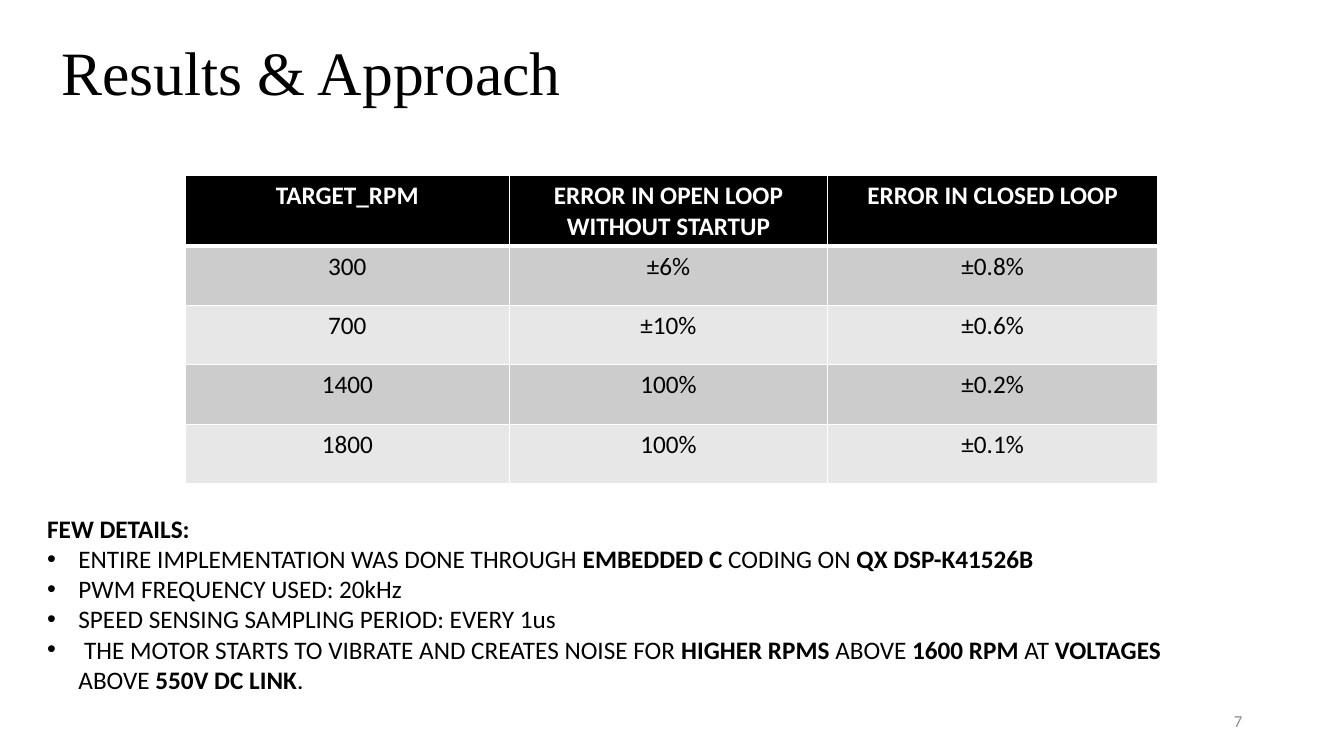
from dataclasses import dataclass
from typing import Optional

from lxml import etree
from pptx import Presentation
from pptx import util as u
from pptx.dml import color
from pptx.enum import text
from pptx.oxml import ns


@dataclass(frozen=True)
class Theme:
    heading_font: str = "Times New Roman"
    body_font: str = "Calibri"
    black: str = "000000"
    white: str = "FFFFFF"
    grey: str = "8C8C8C"
    bands: tuple[str, str] = ("CCCCCC", "E7E7E7")
    title_size: int = 44
    body_size: int = 18
    number_size: int = 12


@dataclass(frozen=True)
class Run:
    words: str
    bold: bool = False


@dataclass(frozen=True)
class Line:
    runs: tuple[Run, ...]
    bullet: bool = False


@dataclass(frozen=True)
class Box:
    left: float
    top: float
    width: float
    height: float

    def inches(self) -> list[u.Length]:
        return [u.Inches(n) for n in (self.left, self.top, self.width, self.height)]


THEME = Theme()
INDENT = u.Inches(0.31)
ROW_HEIGHT = 0.59
COLUMN_WIDTHS = (3.21, 3.16, 3.27)
RESULTS = (
    ("TARGET_RPM", "ERROR IN OPEN LOOP\nWITHOUT STARTUP", "ERROR IN CLOSED LOOP"),
    ("300", "±6%", "±0.8%"),
    ("700", "±10%", "±0.6%"),
    ("1400", "100%", "±0.2%"),
    ("1800", "100%", "±0.1%"),
)


def plain(words: str, bold: bool = False) -> list[Line]:
    return [Line((Run(words_line, bold),)) for words_line in words.split("\n")]


def bullet(*runs: Run) -> Line:
    return Line(runs, bullet=True)


DETAILS = [
    *plain("FEW DETAILS:", bold=True),
    bullet(
        Run("ENTIRE IMPLEMENTATION WAS DONE THROUGH "),
        Run("EMBEDDED C ", True),
        Run("CODING ON "),
        Run("QX DSP-K41526B", True),
    ),
    bullet(Run("PWM FREQUENCY USED: 20kHz")),
    bullet(Run("SPEED SENSING SAMPLING PERIOD: EVERY 1us")),
    bullet(
        Run(" THE MOTOR STARTS TO VIBRATE AND CREATES NOISE FOR "),
        Run("HIGHER RPMS ", True),
        Run("ABOVE "),
        Run("1600 RPM ", True),
        Run("AT "),
        Run("VOLTAGES", True),
        Run(" ABOVE "),
        Run("550V DC LINK", True),
        Run("."),
    ),
]


def write(
    frame,
    lines: list[Line],
    *,
    size: int = THEME.body_size,
    font: str = THEME.body_font,
    ink: str = THEME.black,
    align: text.PP_ALIGN = text.PP_ALIGN.LEFT,
    spacing: Optional[float] = None,
) -> None:
    for index, line in enumerate(lines):
        paragraph = frame.add_paragraph() if index else frame.paragraphs[0]
        paragraph.alignment = align
        if spacing:
            paragraph.line_spacing = spacing
        if line.bullet:
            properties = paragraph._p.get_or_add_pPr()
            properties.set("marL", str(INDENT))
            properties.set("indent", str(-INDENT))
            etree.SubElement(properties, ns.qn("a:buFont"), typeface="Arial")
            etree.SubElement(properties, ns.qn("a:buChar"), char="•")
        for part in line.runs:
            run = paragraph.add_run()
            run.text = part.words
            run.font.name = font
            run.font.size = u.Pt(size)
            run.font.bold = part.bold
            run.font.color.rgb = color.RGBColor.from_string(ink)


def add_frame(slide, box: Box, anchor: text.MSO_ANCHOR = text.MSO_ANCHOR.TOP):
    frame = slide.shapes.add_textbox(*box.inches()).text_frame
    frame.word_wrap = True
    frame.vertical_anchor = anchor
    return frame


def add_borders(cell, bottom: float) -> None:
    properties = cell._tc.get_or_add_tcPr()
    for side, points in (("L", 1), ("R", 1), ("T", 1), ("B", bottom)):
        edge = etree.SubElement(properties, ns.qn(f"a:ln{side}"), w=str(u.Pt(points)))
        fill = etree.SubElement(edge, ns.qn("a:solidFill"))
        etree.SubElement(fill, ns.qn("a:srgbClr"), val=THEME.white)


def add_results(slide, box: Box) -> None:
    results = slide.shapes.add_table(
        len(RESULTS), len(COLUMN_WIDTHS), *box.inches()
    ).table
    for column, width in zip(results.columns, COLUMN_WIDTHS):
        column.width = u.Inches(width)
    for row_index, values in enumerate(RESULTS):
        results.rows[row_index].height = u.Inches(ROW_HEIGHT)
        header = row_index == 0
        shade = THEME.black if header else THEME.bands[(row_index - 1) % 2]
        for column_index, value in enumerate(values):
            cell = results.cell(row_index, column_index)
            add_borders(cell, bottom=3 if header else 1)
            cell.fill.solid()
            cell.fill.fore_color.rgb = color.RGBColor.from_string(shade)
            write(
                cell.text_frame,
                plain(value, bold=header),
                ink=THEME.white if header else THEME.black,
                align=text.PP_ALIGN.CENTER,
            )


def main() -> None:
    deck = Presentation()
    deck.slide_width, deck.slide_height = u.Inches(13.33), u.Inches(7.5)
    slide = deck.slides.add_slide(deck.slide_layouts[6])

    write(
        add_frame(slide, Box(0.51, 0.02, 11.5, 1.45), text.MSO_ANCHOR.MIDDLE),
        plain("Results & Approach"),
        size=THEME.title_size,
        font=THEME.heading_font,
        spacing=0.9,
    )
    write(
        add_frame(slide, Box(9.42, 6.95, 3, 0.4), text.MSO_ANCHOR.MIDDLE),
        plain("7"),
        size=THEME.number_size,
        ink=THEME.grey,
        align=text.PP_ALIGN.RIGHT,
    )
    add_results(
        slide, Box(1.84, 1.74, sum(COLUMN_WIDTHS), ROW_HEIGHT * len(RESULTS))
    )
    write(add_frame(slide, Box(0.37, 5.04, 11.96, 1.92)), DETAILS)
    deck.save("out.pptx")


if __name__ == "__main__":
    main()
